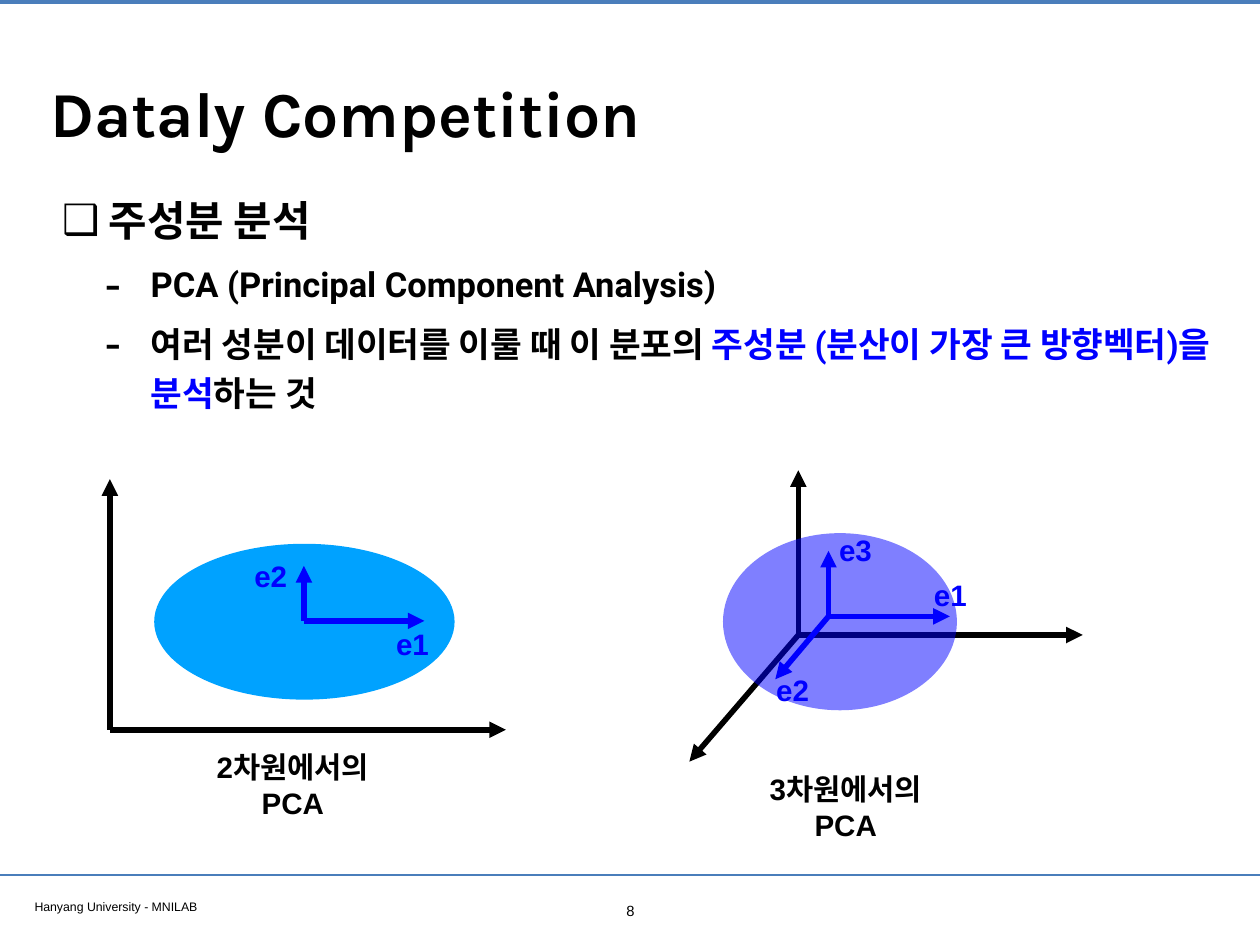
from dataclasses import dataclass

from lxml.etree import SubElement
from pptx import Presentation
from pptx.dml.color import RGBColor
from pptx.enum.shapes import MSO_CONNECTOR as Connector, MSO_SHAPE as Shape
from pptx.enum.text import MSO_ANCHOR as Anchor, PP_ALIGN as Align
from pptx.oxml.ns import qn
from pptx.util import Inches, Pt


@dataclass(frozen=True)
class Theme:
    black: str = "000000"
    blue: str = "0000FF"
    sky: str = "00A2FF"
    rule: str = "4A7EBB"
    base_font: str = "Arial"
    title_font: str = "Karla"
    body_font: str = "Roboto"
    title: int = 52
    heading: int = 34
    body: int = 28
    label: int = 24
    number: int = 12
    footer: int = 10
    arrow: float = 4.5


class SlideBuilder:
    def __init__(self, page, theme):
        self.page = page
        self.theme = theme

    def style(self, span, size, font, color, bold):
        values = {"size": Pt(size), "name": font, "bold": bold}
        for name, value in values.items():
            setattr(span.font, name, value)
        span.font.color.rgb = RGBColor.from_string(color)

    def frame(self, left, top, width, height, anchor=Anchor.TOP, side=0.06):
        box = self.page.shapes.add_textbox(*map(Inches, (left, top, width, height)))
        values = {
            "word_wrap": True,
            "vertical_anchor": anchor,
            "margin_left": Inches(side),
            "margin_right": Inches(side),
            "margin_top": Inches(0.06),
            "margin_bottom": Inches(0.06),
        }
        for name, value in values.items():
            setattr(box.text_frame, name, value)
        return box.text_frame

    def text(self, place, words, size, font=None, color=None, bold=False,
             align=Align.LEFT, **frame_values):
        para = self.frame(*place, **frame_values).paragraphs[0]
        para.alignment = align
        span = para.add_run()
        span.text = words
        self.style(span, size, font or self.theme.base_font,
                   color or self.theme.black, bold)

    def label(self, left, top, words):
        self.text((left, top, 0.49, 0.52), words, self.theme.label, bold=True,
                  color=self.theme.blue, align=Align.CENTER, anchor=Anchor.MIDDLE,
                  side=0)

    def caption(self, left, top, words):
        self.text((left, top, 2.77, 0.52), words, self.theme.label, bold=True,
                  align=Align.CENTER, anchor=Anchor.MIDDLE, side=0.4)

    def bullets(self, place, items):
        text_frame = self.frame(*place)
        for index, (mark, scale, margin, indent, size, spans) in enumerate(items):
            para = text_frame.add_paragraph() if index else text_frame.paragraphs[0]
            props = para._p.get_or_add_pPr()
            props.set("marL", str(Inches(margin)))
            props.set("indent", str(Inches(-indent)))
            SubElement(props, qn("a:buSzPct"), val=str(scale * 1000))
            SubElement(props, qn("a:buFont"), typeface=self.theme.base_font)
            SubElement(props, qn("a:buChar"), char=mark)
            para.line_spacing = 1.2
            para.space_before = Pt(8 if index else 0)
            for words, color in spans:
                span = para.add_run()
                span.text = words
                self.style(span, size, self.theme.body_font, color, True)

    def line(self, start, end, color, width, arrow=False):
        line = self.page.shapes.add_connector(
            Connector.STRAIGHT, *map(Inches, (*start, *end)))
        line.line.color.rgb = RGBColor.from_string(color)
        line.line.width = Pt(width)
        if arrow:
            SubElement(line.line._get_or_add_ln(), qn("a:tailEnd"), type="triangle")
        SubElement(line._element.spPr, qn("a:effectLst"))

    def arrows(self, start, tips, color):
        for tip in tips:
            self.line(start, tip, color, self.theme.arrow, arrow=True)

    def ellipse(self, left, top, width, height, color, opacity=100):
        oval = self.page.shapes.add_shape(
            Shape.OVAL, *map(Inches, (left, top, width, height)))
        oval.shadow.inherit = False
        oval.fill.solid()
        oval.fill.fore_color.rgb = RGBColor.from_string(color)
        oval.line.fill.background()
        if opacity < 100:
            fill_color = oval._element.spPr.find(qn("a:solidFill"))[0]
            SubElement(fill_color, qn("a:alpha"), val=str(opacity * 1000))


def main():
    theme = Theme()
    deck = Presentation()
    deck.slide_width, deck.slide_height = Inches(14.22), Inches(10.67)
    page = deck.slides.add_slide(deck.slide_layouts[6])
    build = SlideBuilder(page, theme)

    # Rules, footer and page number
    build.line((0, 0.02), (14.22, 0.02), theme.rule, 3.2)
    build.line((0, 9.88), (14.22, 9.88), theme.rule, 2)
    build.text((0.33, 10.09, 5.46, 0.26), "Hanyang University - MNILAB", theme.footer)
    build.text((6.92, 10.12, 0.39, 0.31), "8", theme.number, align=Align.CENTER)

    # Title and bullets
    build.text((0.51, 0.28, 13.21, 1.97), "Dataly Competition", theme.title,
               font=theme.title_font, bold=True, anchor=Anchor.MIDDLE)
    dash = ("-", 145, 1, 0.52, theme.body)
    build.bullets((0.64, 2.03, 13.35, 3.04), [
        ("❑", 100, 0.53, 0.53, theme.heading, [("주성분 분석", theme.black)]),
        (*dash, [("PCA (Principal Component Analysis)", theme.black)]),
        (*dash, [("여러 성분이 데이터를 이룰 때 이 분포의 ", theme.black),
                 ("주성분 (분산이 가장 큰 방향벡터)을 분석", theme.blue),
                 ("하는 것", theme.black)]),
    ])

    # Two-dimensional diagram
    build.arrows((1.24, 8.24), [(1.24, 5.41), (5.71, 8.24)], theme.black)
    build.ellipse(1.74, 6.14, 3.39, 1.76, theme.sky)
    build.arrows((3.43, 7.01), [(3.43, 6.39), (4.79, 7.01)], theme.blue)
    build.label(4.41, 7.01, "e1")
    build.label(2.81, 6.24, "e2")
    build.caption(1.92, 8.6, "2차원에서의 PCA")

    # Three-dimensional diagram
    build.arrows((9.01, 7.17), [(9.01, 5.31), (12.22, 7.17), (7.78, 8.6)], theme.black)
    build.ellipse(8.16, 6.02, 2.64, 2, theme.blue, opacity=50)
    build.arrows((9.35, 6.96), [(10.72, 6.96), (9.35, 6.22), (8.75, 7.67)], theme.blue)
    build.label(10.48, 6.45, "e1")
    build.label(8.7, 7.53, "e2")
    build.label(9.41, 5.95, "e3")
    build.caption(8.16, 8.85, "3차원에서의 PCA")

    deck.save("out.pptx")


if __name__ == "__main__":
    main()
